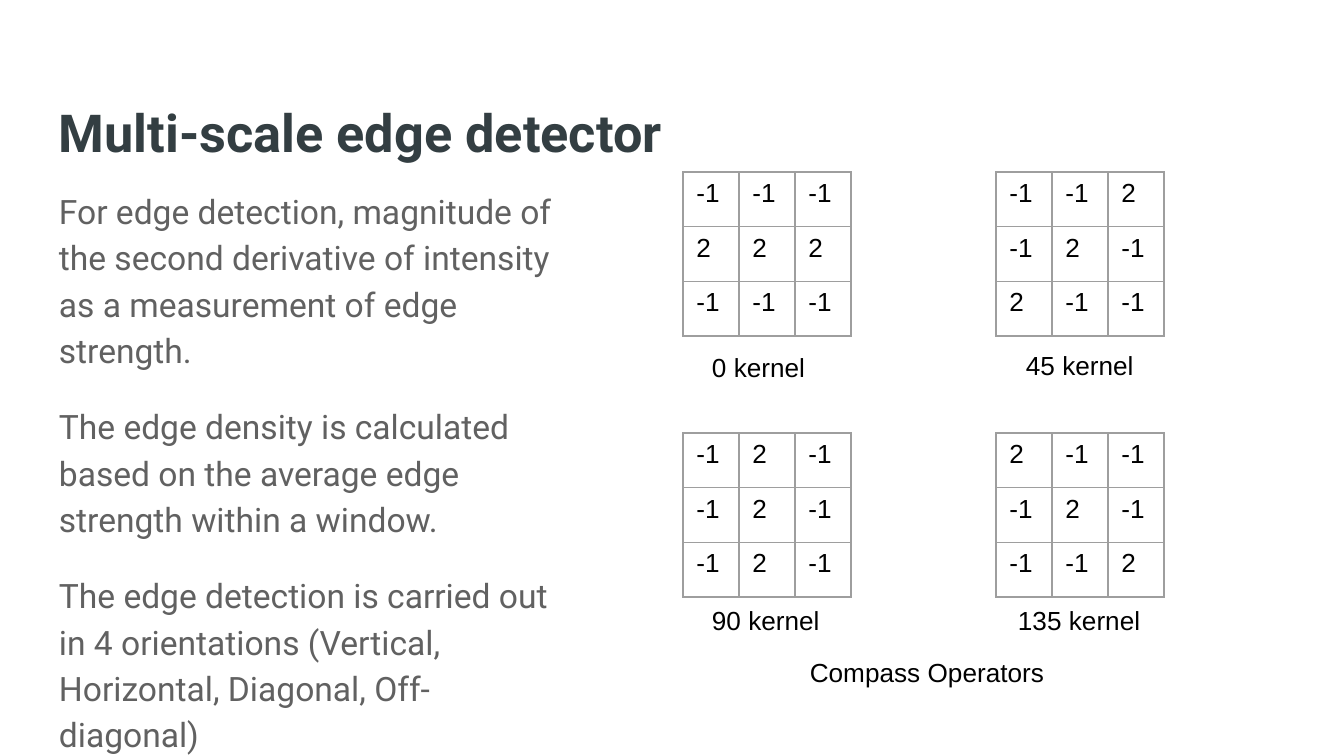
"""Build the slide on multi-scale edge detection with its four compass kernels."""
from dataclasses import dataclass

from lxml.etree import SubElement
from pptx import Presentation
from pptx.dml.color import RGBColor
from pptx.enum.text import MSO_ANCHOR, MSO_AUTO_SIZE, PP_ALIGN
from pptx.oxml.ns import qn
from pptx.slide import Slide
from pptx.table import _Cell
from pptx.text.text import TextFrame, _Paragraph
from pptx.util import Emu, Pt

EMU_PER_PIXEL = 914400 / 134.4
TITLE_COLOR = RGBColor(0x33, 0x3E, 0x42)
BODY_COLOR = RGBColor(0x61, 0x61, 0x61)
KERNEL_COLOR = RGBColor(0x00, 0x00, 0x00)
BORDER_COLOR = RGBColor(0x9E, 0x9E, 0x9E)
KERNEL_SIZE = 168
KERNEL_HEIGHT = 164
LABEL_HEIGHT = 46
LEFT_COLUMN, RIGHT_COLUMN = 683, 996
TOP_ROW, BOTTOM_ROW = 172, 433


@dataclass(frozen=True)
class TextStyle:
    font: str
    size: int
    color: RGBColor
    bold: bool = False


@dataclass(frozen=True)
class Label:
    text: str
    left: int
    top: int
    width: int
    alignment: PP_ALIGN = PP_ALIGN.LEFT


@dataclass(frozen=True)
class Kernel:
    left: int
    top: int
    values: tuple[tuple[int, ...], ...]


TITLE_STYLE = TextStyle("Roboto", 28, TITLE_COLOR, True)
BODY_STYLE = TextStyle("Roboto", 18, BODY_COLOR)
KERNEL_STYLE = TextStyle("Arial", 14, KERNEL_COLOR)

BODY_PARAGRAPHS = (
    "For edge detection, magnitude of the second derivative of intensity "
    "as a measurement of edge strength.",
    "The edge density is calculated based on the average edge strength within a window.",
    "The edge detection is carried out in 4 orientations "
    "(Vertical, Horizontal, Diagonal, Off-diagonal)",
)
KERNELS = (
    Kernel(LEFT_COLUMN, TOP_ROW, ((-1, -1, -1), (2, 2, 2), (-1, -1, -1))),
    Kernel(LEFT_COLUMN, BOTTOM_ROW, ((-1, 2, -1), (-1, 2, -1), (-1, 2, -1))),
    Kernel(RIGHT_COLUMN, BOTTOM_ROW, ((2, -1, -1), (-1, 2, -1), (-1, -1, 2))),
    Kernel(RIGHT_COLUMN, TOP_ROW, ((-1, -1, 2), (-1, 2, -1), (2, -1, -1))),
)
LABELS = (
    Label("0 kernel", 699, 344, 136),
    Label("45 kernel", 1013, 342, 136),
    Label("90 kernel", 699, 597, 136),
    Label("135 kernel", 1005, 597, 151),
    Label("Compass Operators", 742, 649, 370, PP_ALIGN.CENTER),
)


def px(length: int) -> Emu:
    """Turn pixels into EMU."""
    return Emu(round(length * EMU_PER_PIXEL))


def add_run(paragraph: _Paragraph, text: str, style: TextStyle) -> None:
    """Add one styled run to a paragraph."""
    run = paragraph.add_run()
    run.text = text
    run.font.name = style.font
    run.font.size = Pt(style.size)
    run.font.bold = style.bold
    run.font.color.rgb = style.color


def format_frame(frame: TextFrame, horizontal: int = 13, vertical: int = 13) -> None:
    """Give a text frame wrapping, top anchoring and insets."""
    frame.word_wrap = True
    frame.auto_size = MSO_AUTO_SIZE.NONE
    frame.vertical_anchor = MSO_ANCHOR.TOP
    frame.margin_left = frame.margin_right = px(horizontal)
    frame.margin_top = frame.margin_bottom = px(vertical)


def add_title(slide: Slide) -> None:
    """Place and fill the title placeholder."""
    title = slide.shapes.title
    title.left, title.top, title.width, title.height = map(px, (46, 87, 1253, 85))
    format_frame(title.text_frame)
    paragraph = title.text_frame.paragraphs[0]
    paragraph.alignment = PP_ALIGN.LEFT
    add_run(paragraph, "Multi-scale edge detector", TITLE_STYLE)


def add_body(slide: Slide) -> None:
    """Add the explanatory paragraphs."""
    frame = slide.shapes.add_textbox(*map(px, (46, 172, 536, 552))).text_frame
    format_frame(frame)
    for index, text in enumerate(BODY_PARAGRAPHS):
        paragraph = frame.add_paragraph() if index else frame.paragraphs[0]
        paragraph.line_spacing = 1.15
        paragraph.space_after = Pt(16)
        add_run(paragraph, text, BODY_STYLE)


def add_borders(cell: _Cell) -> None:
    """Draw a thin line on each side of a cell."""
    properties = cell._tc.get_or_add_tcPr()
    for position, side in enumerate(("a:lnL", "a:lnR", "a:lnT", "a:lnB")):
        line = SubElement(properties, qn(side), w=str(Pt(0.75)))
        fill = SubElement(line, qn("a:solidFill"))
        SubElement(fill, qn("a:srgbClr"), val=str(BORDER_COLOR))
        properties.insert(position, line)


def add_kernel(slide: Slide, kernel: Kernel) -> None:
    """Add one kernel as a bordered table."""
    count = len(kernel.values)
    table = slide.shapes.add_table(
        count, count, px(kernel.left), px(kernel.top), px(KERNEL_SIZE), px(KERNEL_HEIGHT)
    ).table
    table.first_row = table.horz_banding = False
    for row, values in enumerate(kernel.values):
        for column, value in enumerate(values):
            cell = table.cell(row, column)
            cell.fill.background()
            add_borders(cell)
            add_run(cell.text_frame.paragraphs[0], str(value), KERNEL_STYLE)


def add_label(slide: Slide, label: Label) -> None:
    """Add a caption below the kernels."""
    box = slide.shapes.add_textbox(
        px(label.left), px(label.top), px(label.width), px(LABEL_HEIGHT)
    )
    format_frame(box.text_frame, vertical=7)
    paragraph = box.text_frame.paragraphs[0]
    paragraph.alignment = label.alignment
    add_run(paragraph, label.text, KERNEL_STYLE)


def main() -> None:
    """Build and save the presentation."""
    presentation = Presentation()
    presentation.slide_width, presentation.slide_height = px(1344), px(756)
    slide = presentation.slides.add_slide(presentation.slide_layouts.get_by_name("Title Only"))
    add_title(slide)
    add_body(slide)
    for kernel in KERNELS:
        add_kernel(slide, kernel)
    for label in LABELS:
        add_label(slide, label)
    presentation.save("out.pptx")


if __name__ == "__main__":
    main()
